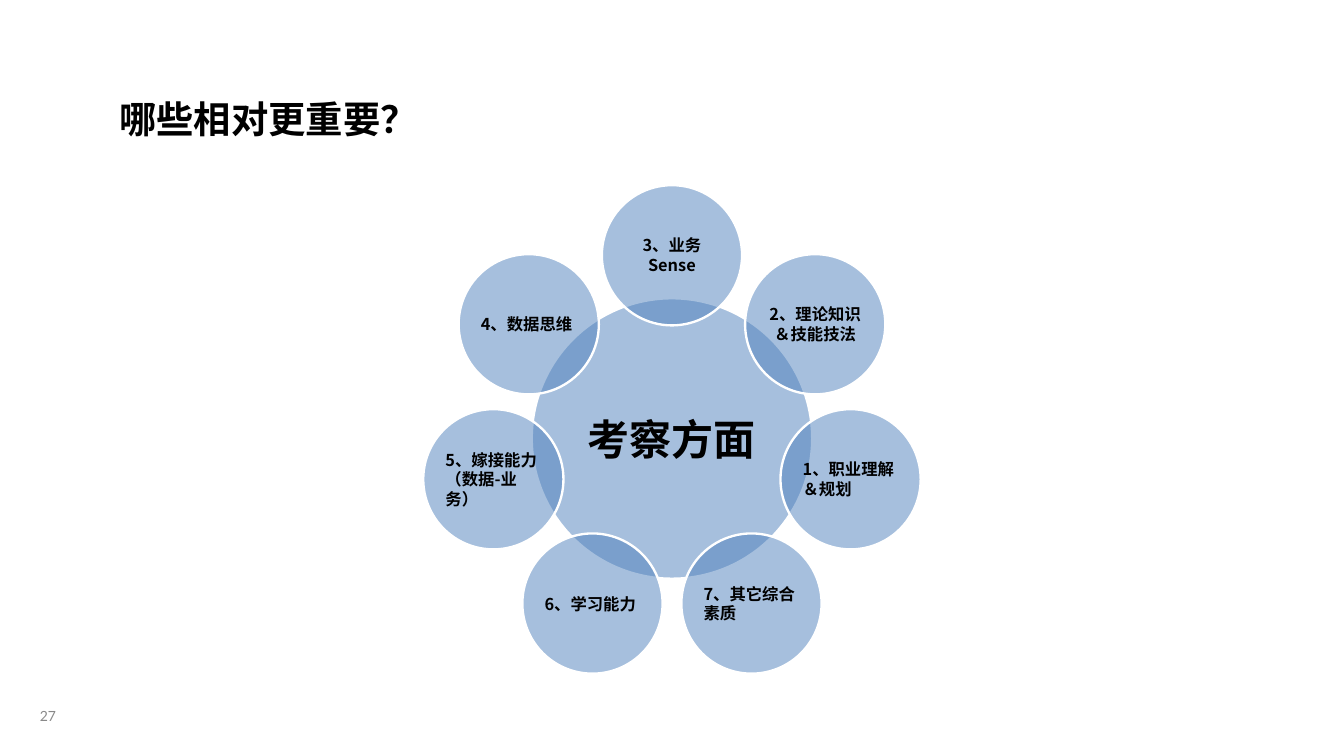
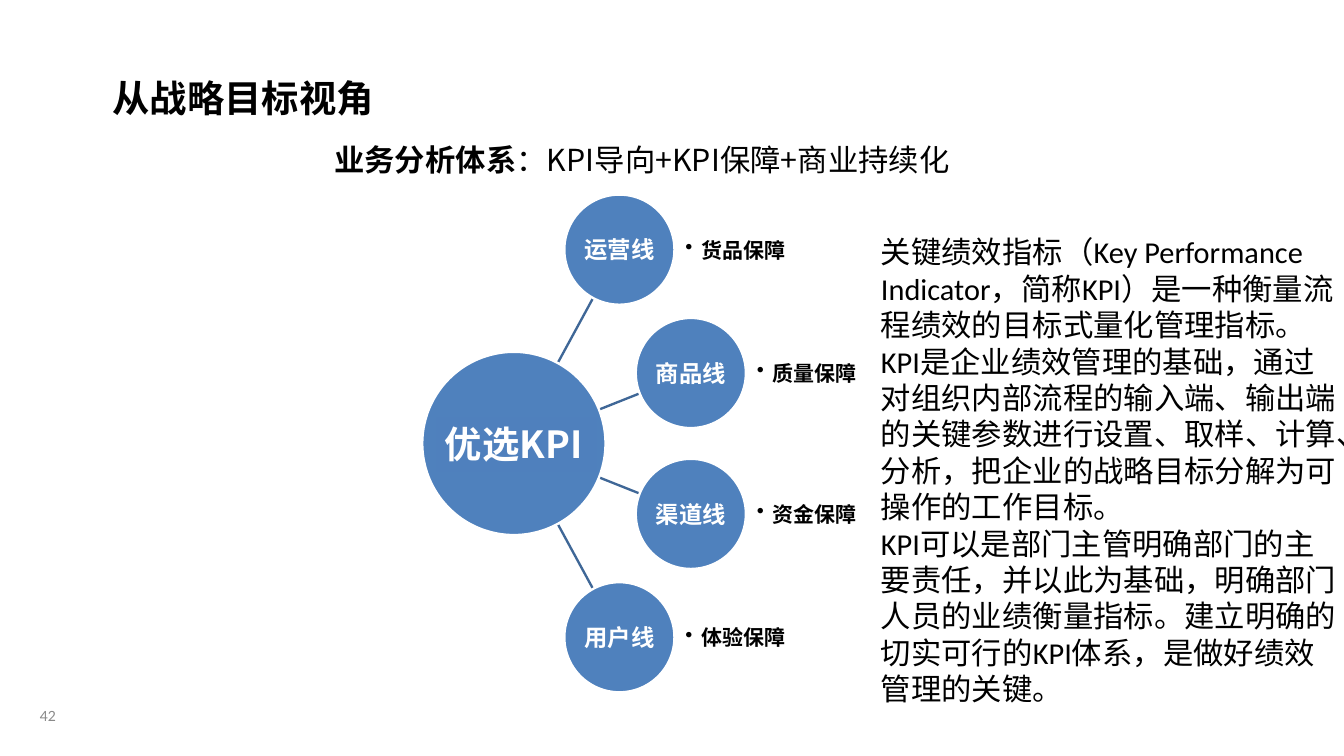
from math import cos, hypot, radians, sin

from lxml import etree
from pptx import Presentation
from pptx.dml.color import RGBColor
from pptx.enum.shapes import MSO_CONNECTOR, MSO_SHAPE
from pptx.enum.text import MSO_ANCHOR, PP_ALIGN
from pptx.oxml.ns import qn
from pptx.util import Cm, Pt

LEFT, CENTER = PP_ALIGN.LEFT, PP_ALIGN.CENTER
TOP, MIDDLE = MSO_ANCHOR.TOP, MSO_ANCHOR.MIDDLE
OVAL, RECTANGLE = MSO_SHAPE.OVAL, MSO_SHAPE.RECTANGLE
STRAIGHT = MSO_CONNECTOR.STRAIGHT

# Shared style
BLUE, LABEL_BLUE, LINE_BLUE = "4F81BD", "4F80BD", "3F6797"
BLACK, WHITE, GRAY = "000000", "FFFFFF", "898989"
CJK_FONT, LATIN_FONT, NUMBER_FONT = "Noto Sans CJK SC", "Calibri", "Lato"
LINE_HEIGHT = 1.2
MARGINS = (0.25, 0.13)


def color(hex_string):
    return RGBColor.from_string(hex_string)


def write_text(shape, paragraphs, size=14, font=CJK_FONT, fill=BLACK, bold=False,
               align=LEFT, anchor=TOP, margins=MARGINS, bullet_indent=None):
    """Each paragraph is a string or a list of (text, font, bold) runs."""
    frame = shape.text_frame
    frame.word_wrap = True
    frame.vertical_anchor = anchor
    frame.margin_left = frame.margin_right = Cm(margins[0])
    frame.margin_top = frame.margin_bottom = Cm(margins[1])
    for index, content in enumerate(paragraphs):
        paragraph = frame.add_paragraph() if index else frame.paragraphs[0]
        paragraph.alignment = align
        paragraph.line_spacing = Pt(round(size * LINE_HEIGHT, 1))
        if bullet_indent:
            properties = paragraph._p.get_or_add_pPr()
            properties.set("marL", str(Cm(bullet_indent)))
            properties.set("indent", str(-Cm(bullet_indent)))
            etree.SubElement(properties, qn("a:buChar")).set("char", "•")
        runs = [(content, font, bold)] if isinstance(content, str) else content
        for text, run_font, run_bold in runs:
            run = paragraph.add_run()
            run.text = text
            run.font.size = Pt(size)
            run.font.bold = run_bold
            run.font.color.rgb = color(fill)
            run.font.name = run_font
            east_asian = etree.Element(qn("a:ea"), typeface=CJK_FONT)
            run.font._element.find(qn("a:latin")).addnext(east_asian)


def add_text(slide, box, paragraphs, **text_format):
    shape = slide.shapes.add_textbox(*map(Cm, box))
    write_text(shape, paragraphs, **text_format)


def add_filled(slide, kind, box, fill, line=None, opacity=None):
    shape = slide.shapes.add_shape(kind, *map(Cm, box))
    shape.shadow.inherit = False
    shape.fill.solid()
    shape.fill.fore_color.rgb = color(fill)
    if opacity:
        rgb = shape._element.spPr.find(qn("a:solidFill"))[0]
        etree.SubElement(rgb, qn("a:alpha")).set("val", str(opacity * 1000))
    if line:
        shape.line.color.rgb = color(line)
        shape.line.width = Pt(2)
    else:
        shape.line.fill.background()
    return shape


def add_circle(slide, center_x, center_y, diameter, opacity=None):
    box = (center_x - diameter / 2, center_y - diameter / 2, diameter, diameter)
    return add_filled(slide, OVAL, box, BLUE, WHITE, opacity)


def add_spoke(slide, start_x, start_y, end_x, end_y):
    connector = slide.shapes.add_connector(
        STRAIGHT, *map(Cm, (start_x, start_y, end_x, end_y)))
    connector.line.color.rgb = color(LINE_BLUE)
    connector.line.width = Pt(2)
    etree.SubElement(connector._element.spPr, qn("a:effectLst"))


def add_base(presentation, title, title_box, number):
    slide = presentation.slides.add_slide(presentation.slide_layouts[6])
    add_text(slide, (0.5, 21.03, 1.9, 1.22), [number], size=12, font=NUMBER_FONT,
             fill=GRAY, align=CENTER, anchor=MIDDLE, margins=(0.2, 0.1))
    add_text(slide, title_box, [title], size=32, bold=True)
    return slide


def add_petals(slide, center_x, center_y, core_diameter, core_text, petals):
    """A core circle with petals spread clockwise from the top."""
    petal_diameter = core_diameter / 2
    ring_radius = 5.54
    core = add_circle(slide, center_x, center_y, core_diameter, opacity=50)
    write_text(core, [core_text], size=36, bold=True, align=CENTER,
               anchor=MIDDLE, margins=(0.13, 0.13))
    for index, (text, align) in enumerate(petals):
        angle = radians(360 / len(petals) * index - 90)
        petal = add_circle(slide, center_x + ring_radius * cos(angle),
                           center_y + ring_radius * sin(angle),
                           petal_diameter, opacity=50)
        write_text(petal, [text], bold=True, align=align, anchor=MIDDLE,
                   margins=(0.05, 0.05))


def add_radial(slide, center_x, center_y, hub_text, branches):
    """A hub with branch circles at given offsets, each with a bullet."""
    hub_diameter, branch_diameter, gap = 5.54, 3.33, 0.33
    # Spokes, behind the circles
    for offset_x, offset_y, _, _ in branches:
        distance = hypot(offset_x, offset_y)
        start = 0.39 * hub_diameter / distance
        end = 1 - branch_diameter / 2 / distance
        add_spoke(slide, center_x + offset_x * start, center_y + offset_y * start,
                  center_x + offset_x * end, center_y + offset_y * end)
    add_circle(slide, center_x, center_y, hub_diameter)
    # Branches
    for offset_x, offset_y, name, goal in branches:
        x, y = center_x + offset_x, center_y + offset_y
        branch = add_circle(slide, x, y, branch_diameter)
        write_text(branch, [name], size=20, fill=WHITE, bold=True, align=CENTER,
                   anchor=MIDDLE, margins=(0.03, 0.03))
        radius = branch_diameter / 2
        add_text(slide, (x + radius + gap, y - radius, 4.98, branch_diameter),
                 [goal], size=18, bold=True, anchor=MIDDLE, margins=(0, 0),
                 bullet_indent=0.48)
    # Hub label
    label = add_filled(slide, RECTANGLE,
                       (center_x - 2.34, center_y - 0.79, 4.83, 1.63), LABEL_BLUE)
    write_text(label, [hub_text], size=32, fill=WHITE, bold=True)


def build_priorities(presentation):
    slide = add_base(presentation, "哪些相对更重要？", (3.35, 2.77, 18.11, 1.63), "27")
    add_petals(slide, 20.32, 13.26, 8.48, "考察方面", [
        ("3、业务Sense", CENTER),
        ("2、理论知识＆技能技法", CENTER),
        ("1、职业理解＆规划", LEFT),
        ("7、其它综合素质", LEFT),
        ("6、学习能力", LEFT),
        ("5、嫁接能力（数据-业务）", LEFT),
        ("4、数据思维", LEFT),
    ])


def build_strategy(presentation):
    slide = add_base(presentation, "从战略目标视角", (3.15, 2.13, 14.07, 1.63), "42")
    add_radial(slide, 15.54, 13.41, "优选KPI", [
        (3.19, -5.86, "运营线", "货品保障"),
        (5.35, -2.13, "商品线", "质量保障"),
        (5.35, 2.13, "渠道线", "资金保障"),
        (3.19, 5.86, "用户线", "体验保障"),
    ])
    # Subtitle
    add_text(slide, (9.86, 4.14, 20.5, 1.37), [[
        ("业务分析体系", CJK_FONT, True),
        ("：", LATIN_FONT, False),
        ("KPI导向+KPI保障+商业持续化", CJK_FONT, False),
    ]], size=26)
    # Explanation
    add_text(slide, (26.39, 6.93, 14.35, 14.71), [
        "关键绩效指标（Key Performance Indicator，简称KPI）是一种衡量流程绩效的"
        "目标式量化管理指标。",
        "KPI是企业绩效管理的基础，通过对组织内部流程的输入端、输出端的关键参数"
        "进行设置、取样、计算、分析，把企业的战略目标分解为可操作的工作目标。",
        "KPI可以是部门主管明确部门的主要责任，并以此为基础，明确部门人员的业绩"
        "衡量指标。建立明确的切实可行的KPI体系，是做好绩效管理的关键。",
    ], size=26, font=LATIN_FONT)


def main():
    presentation = Presentation()
    presentation.slide_width, presentation.slide_height = Cm(40.64), Cm(22.86)
    build_priorities(presentation)
    build_strategy(presentation)
    presentation.save("out.pptx")


if __name__ == "__main__":
    main()
